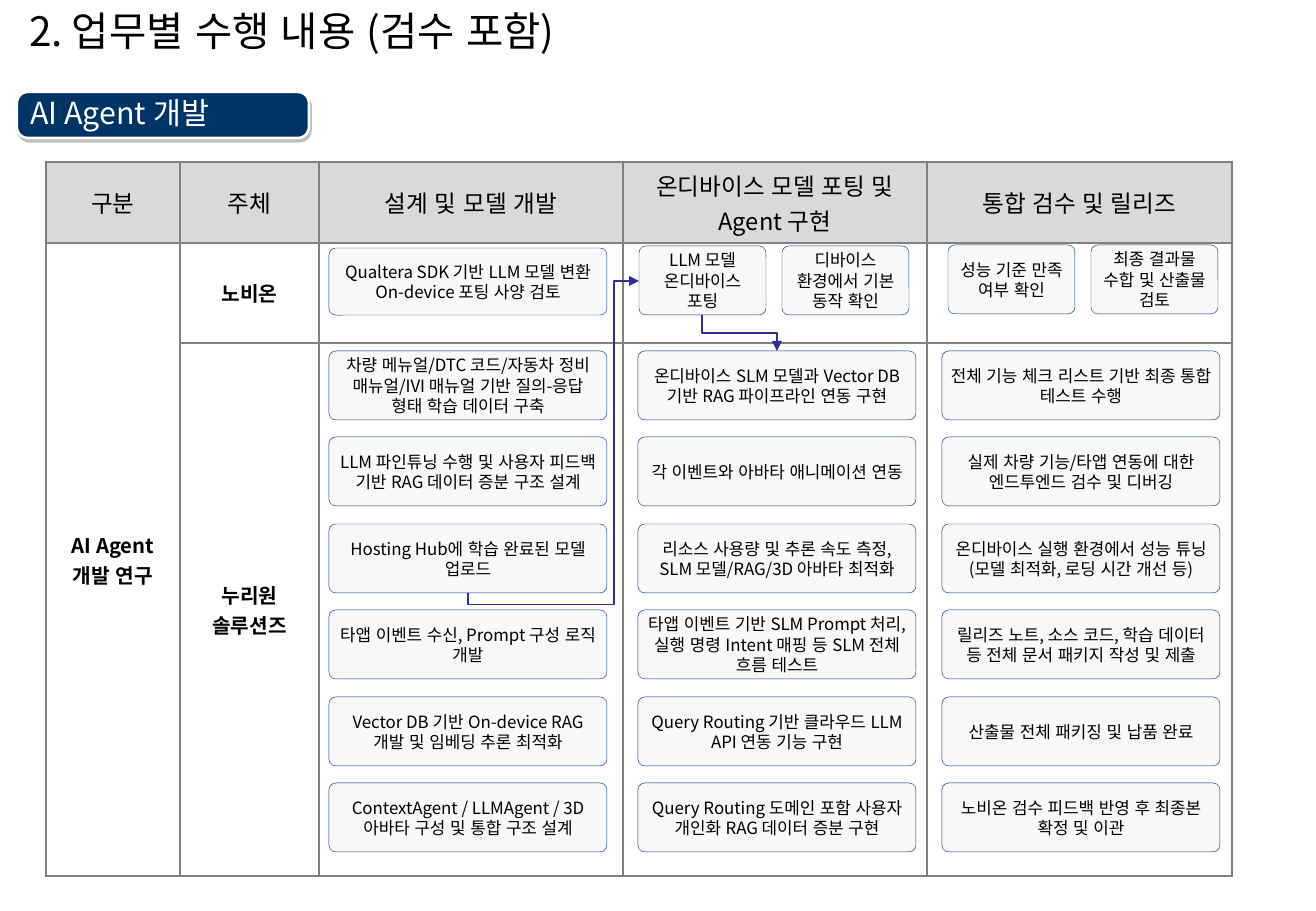
from dataclasses import dataclass

from lxml import etree
from pptx import Presentation
from pptx.dml.color import RGBColor
from pptx.enum.lang import MSO_LANGUAGE_ID
from pptx.enum.shapes import MSO_CONNECTOR, MSO_SHAPE
from pptx.enum.text import MSO_ANCHOR, MSO_AUTO_SIZE, PP_ALIGN
from pptx.oxml.ns import qn
from pptx.util import Pt

ROUNDED = MSO_SHAPE.ROUNDED_RECTANGLE
ELBOW = MSO_CONNECTOR.ELBOW
MIDDLE = MSO_ANCHOR.MIDDLE
LEFT, CENTER = PP_ALIGN.LEFT, PP_ALIGN.CENTER
NO_AUTOFIT = MSO_AUTO_SIZE.NONE
KOREAN = MSO_LANGUAGE_ID.KOREAN
EMU_PER_PX = 7526


@dataclass(frozen=True)
class Theme:
    font: str = "Noto Sans CJK KR"
    black: str = "000000"
    white: str = "FFFFFF"
    gray: str = "808080"
    header: str = "D9D9D9"
    navy: str = "003366"
    task_fill: str = "F8F8F8"
    task_line: str = "003399"
    arrow: str = "2F2F98"
    title_size: int = 24
    section_size: int = 18
    header_size: int = 14
    label_size: int = 12
    task_size: int = 10


THEME = Theme()

COLUMN_WIDTHS = [134, 139, 304, 304, 305]
ROW_HEIGHTS = [81, 100, 533]
TABLE_ROWS = [
    ["구분", "주체", "설계 및 모델 개발", "온디바이스 모델 포팅 및 Agent 구현", "통합 검수 및 릴리즈"],
    ["AI Agent\n개발 연구", "노비온", "", "", ""],
    ["", "누리원\n솔루션즈", "", "", ""],
]

TASK_WIDTH, TASK_HEIGHT = 278, 69
TASK_TOP, TASK_PITCH = 351, 86.4
TASK_COLUMNS = {
    329: [
        "차량 메뉴얼/DTC 코드/자동차 정비 매뉴얼/IVI 매뉴얼 기반 질의-응답 형태 학습 데이터 구축",
        "LLM 파인튜닝 수행 및 사용자 피드백 기반 RAG 데이터 증분 구조 설계",
        "Hosting Hub에 학습 완료된 모델 업로드",
        "타앱 이벤트 수신, Prompt 구성 로직 개발",
        "Vector DB 기반 On-device RAG 개발 및 임베딩 추론 최적화",
        "ContextAgent / LLMAgent / 3D 아바타 구성 및 통합 구조 설계",
    ],
    638: [
        "온디바이스 SLM 모델과 Vector DB 기반 RAG 파이프라인 연동 구현",
        "각 이벤트와 아바타 애니메이션 연동",
        "리소스 사용량 및 추론 속도 측정, SLM 모델/RAG/3D 아바타 최적화",
        "타앱 이벤트 기반 SLM Prompt 처리, 실행 명령 Intent 매핑 등 SLM 전체 흐름 테스트",
        "Query Routing 기반 클라우드 LLM API 연동 기능 구현",
        "Query Routing 도메인 포함 사용자 개인화 RAG 데이터 증분 구현",
    ],
    942: [
        "전체 기능 체크 리스트 기반 최종 통합 테스트 수행",
        "실제 차량 기능/타앱 연동에 대한 엔드투엔드 검수 및 디버깅",
        "온디바이스 실행 환경에서 성능 튜닝(모델 최적화, 로딩 시간 개선 등)",
        "릴리즈 노트, 소스 코드, 학습 데이터 등 전체 문서 패키지 작성 및 제출",
        "산출물 전체 패키징 및 납품 완료",
        "노비온 검수 피드백 반영 후 최종본 확정 및 이관",
    ],
}
CLIENT_TASKS = [
    (329, 248, 278, 67, "Qualtera SDK 기반 LLM 모델 변환 On-device 포팅 사양 검토"),
    (639, 246, 127, 69, "LLM 모델 온디바이스 포팅"),
    (782, 246, 127, 69, "디바이스 환경에서 기본 동작 확인"),
    (948, 245, 127, 69, "성능 기준 만족 여부 확인"),
    (1091, 245, 127, 69, "최종 결과물 수합 및 산출물 검토"),
]


def px(value):
    return round(value * EMU_PER_PX)


def color(code):
    return RGBColor.from_string(code)


def write_text(frame, text, size, code=THEME.black, align=CENTER, bold=False):
    frame.text = text
    for para in frame.paragraphs:
        para.alignment = align
        for span in para.runs:
            font = span.font
            font.name, font.size, font.bold = THEME.font, Pt(size), bold
            font.color.rgb = color(code)
            font.language_id = KOREAN
            east_asian = etree.SubElement(span._r.get_or_add_rPr(), qn("a:ea"))
            east_asian.set("typeface", THEME.font)


def set_margins(frame, left, top, right, bottom):
    frame.margin_left, frame.margin_top = px(left), px(top)
    frame.margin_right, frame.margin_bottom = px(right), px(bottom)


def add_title(slide, text):
    title = slide.shapes.title
    title.left, title.top, title.width, title.height = px(17), px(2), px(1154), px(57)
    frame = title.text_frame
    frame.auto_size, frame.vertical_anchor = NO_AUTOFIT, MIDDLE
    write_text(frame, text, THEME.title_size, align=LEFT)
    properties = frame.paragraphs[0]._p.get_or_add_pPr()
    properties.set("marL", str(px(68)))
    properties.set("indent", str(px(-68)))


def add_rounded(slide, left, top, width, height, fill, line, line_width, corner):
    box = slide.shapes.add_shape(ROUNDED, px(left), px(top), px(width), px(height))
    box.adjustments[0] = corner
    box.fill.solid()
    box.fill.fore_color.rgb = color(fill)
    box.line.color.rgb = color(line)
    box.line.width = Pt(line_width)
    box.shadow.inherit = False
    box.text_frame.vertical_anchor = MIDDLE
    return box


def add_section(slide, text):
    box = add_rounded(slide, 17, 92, 292, 46, THEME.navy, THEME.white, 1.5, 0.24)
    effects = box._element.spPr.find(qn("a:effectLst"))
    shadow = etree.SubElement(effects, qn("a:outerShdw"), blurRad="0", dist=str(Pt(2.2)),
                              dir=str(63 * 60000), algn="ctr", rotWithShape="0")
    tint = etree.SubElement(shadow, qn("a:srgbClr"), val=THEME.gray)
    etree.SubElement(tint, qn("a:alpha"), val="50000")
    frame = box.text_frame
    frame.word_wrap = False
    set_margins(frame, 10, 0, 0, 0)
    write_text(frame, text, THEME.section_size, THEME.white, LEFT)
    frame.paragraphs[0].line_spacing = 0.9


def add_task(slide, left, top, width, height, text):
    box = add_rounded(slide, left, top, width, height, THEME.task_fill, THEME.task_line, 0.25, 0.1)
    frame = box.text_frame
    frame.word_wrap = True
    set_margins(frame, 5, 5, 5, 5)
    write_text(frame, text, THEME.task_size)


def add_borders(cell):
    properties = cell._tc.get_or_add_tcPr()
    for side in ("a:lnL", "a:lnR", "a:lnT", "a:lnB"):
        border = etree.SubElement(properties, qn(side), w=str(Pt(1)))
        fill = etree.SubElement(border, qn("a:solidFill"))
        etree.SubElement(fill, qn("a:srgbClr"), val=THEME.gray)


def add_schedule(slide):
    frame = slide.shapes.add_table(len(ROW_HEIGHTS), len(COLUMN_WIDTHS), px(46), px(162),
                                   px(sum(COLUMN_WIDTHS)), px(sum(ROW_HEIGHTS)))
    table = frame.table
    table.horz_banding = False
    for column, width in zip(table.columns, COLUMN_WIDTHS):
        column.width = px(width)
    for row, height, texts in zip(table.rows, ROW_HEIGHTS, TABLE_ROWS):
        row.height = px(height)
        is_header = texts is TABLE_ROWS[0]
        for cell, text in zip(row.cells, texts):
            add_borders(cell)
            cell.vertical_anchor = MIDDLE
            if is_header:
                cell.fill.solid()
                cell.fill.fore_color.rgb = color(THEME.header)
            else:
                cell.fill.background()
            size = THEME.header_size if is_header else THEME.label_size
            write_text(cell.text_frame, text, size, bold=not is_header)
    table.cell(1, 0).merge(table.cell(2, 0))


def add_elbow(slide, start, end, preset, quarter_turn, adjustments):
    middle_x, middle_y = (start[0] + end[0]) / 2, (start[1] + end[1]) / 2
    half_x = quarter_turn * (start[1] - middle_y)
    half_y = -quarter_turn * (start[0] - middle_x)
    arrow = slide.shapes.add_connector(ELBOW, px(middle_x + half_x), px(middle_y + half_y),
                                       px(middle_x - half_x), px(middle_y - half_y))
    arrow.line.color.rgb = color(THEME.arrow)
    arrow.line.width = Pt(0.75)
    properties = arrow._element.spPr
    properties.find(qn("a:xfrm")).set("rot", str(quarter_turn % 4 * 5400000))
    geometry = properties.find(qn("a:prstGeom"))
    geometry.set("prst", preset)
    guides = geometry.find(qn("a:avLst"))
    for number, value in enumerate(adjustments, 1):
        etree.SubElement(guides, qn("a:gd"), name=f"adj{number}", fmla=f"val {value}")
    etree.SubElement(properties.find(qn("a:ln")), qn("a:tailEnd"), type="triangle")
    etree.SubElement(properties, qn("a:effectLst"))


def main():
    deck = Presentation()
    deck.slide_width, deck.slide_height = px(1316), px(911)
    page = deck.slides.add_slide(deck.slide_layouts[5])
    add_title(page, "2. 업무별 수행 내용 (검수 포함)")
    add_schedule(page)
    add_section(page, "AI Agent 개발")
    for task in CLIENT_TASKS:
        add_task(page, *task)
    for left, texts in TASK_COLUMNS.items():
        for index, text in enumerate(texts):
            top = round(TASK_TOP + index * TASK_PITCH)
            add_task(page, left, top, TASK_WIDTH, TASK_HEIGHT, text)
    add_elbow(page, (468, 593), (639, 281), "bentConnector4", 1, [-3600, 85400])
    add_elbow(page, (702, 315), (777, 351), "bentConnector3", -1, [50000])
    deck.save("out.pptx")


if __name__ == "__main__":
    main()
